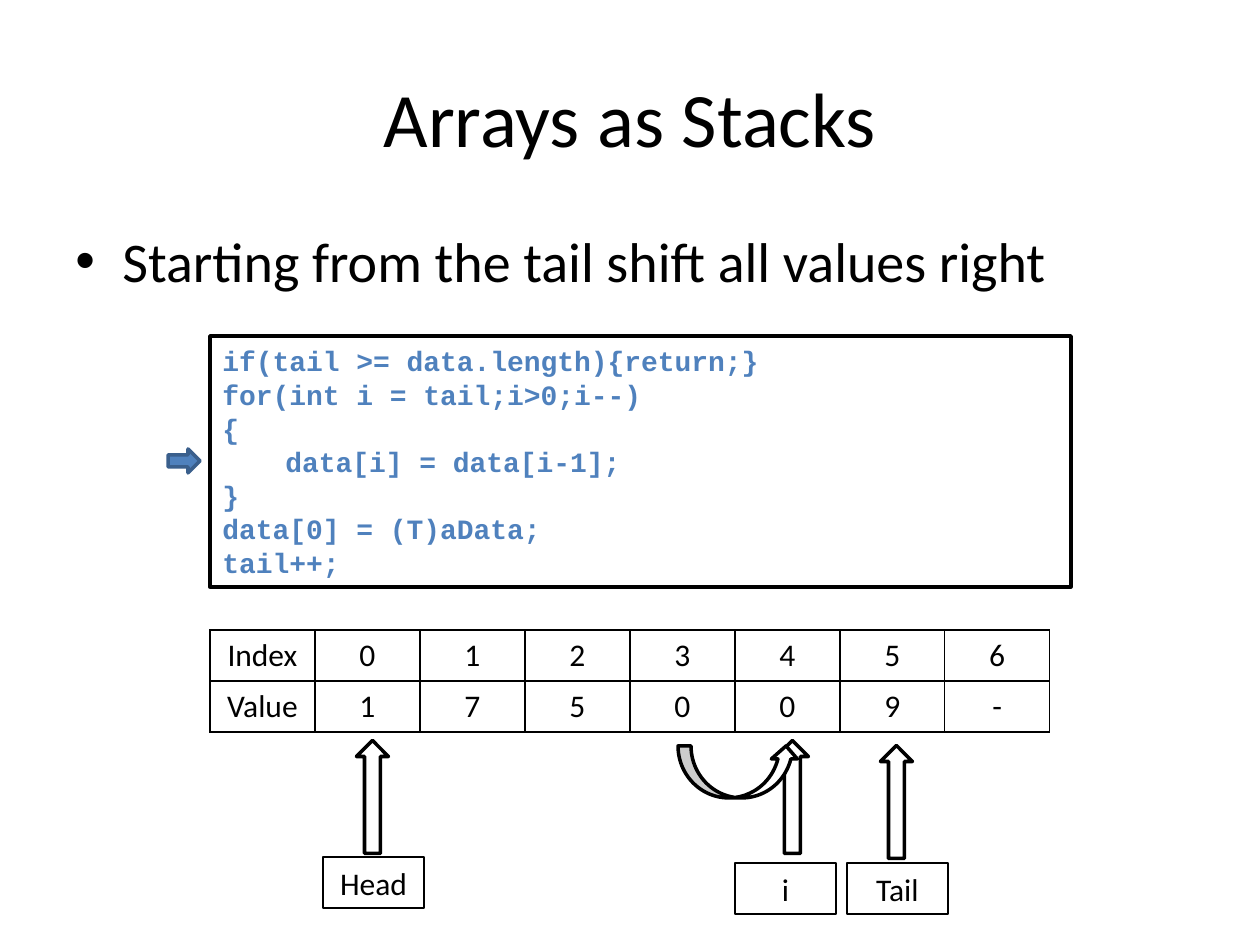
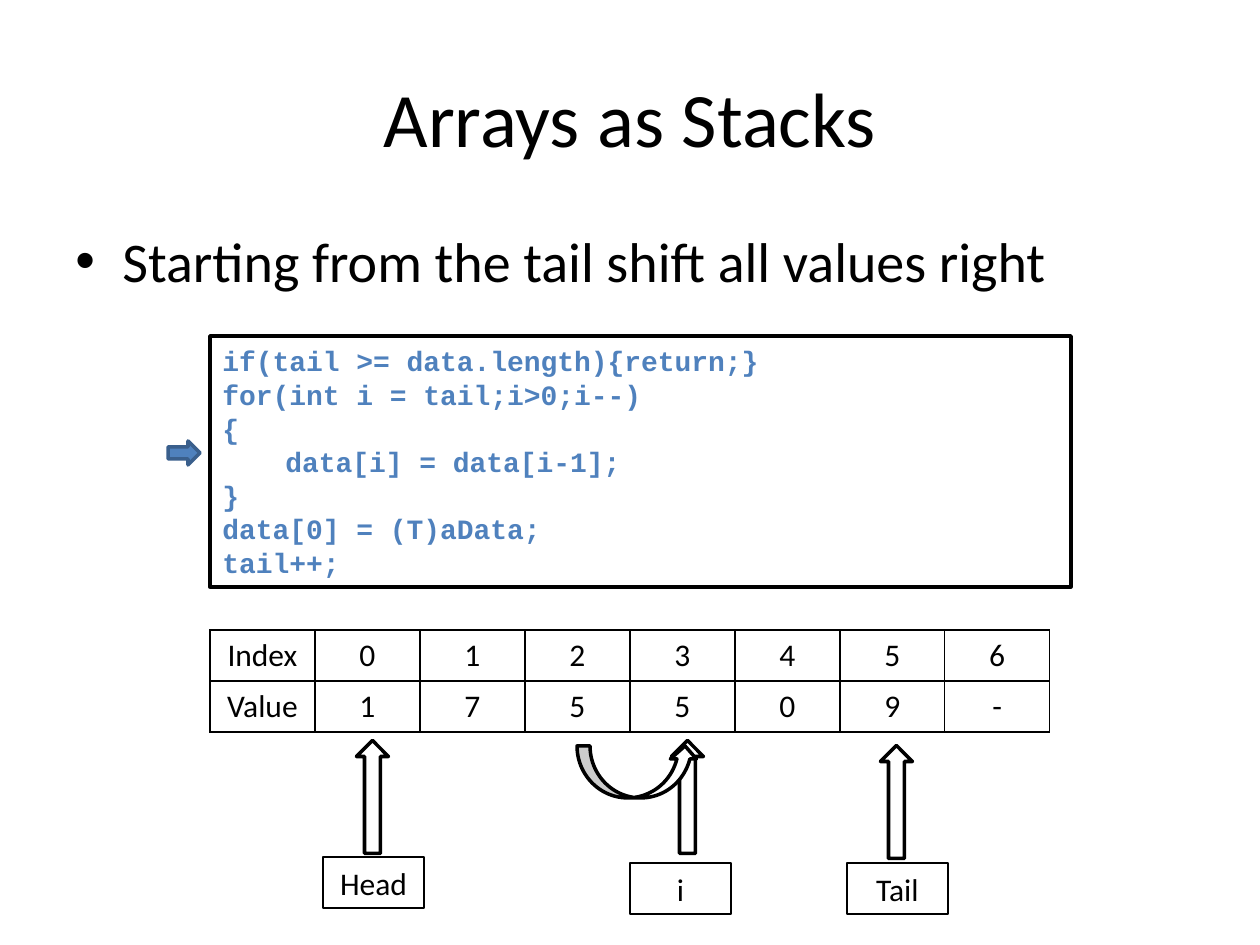
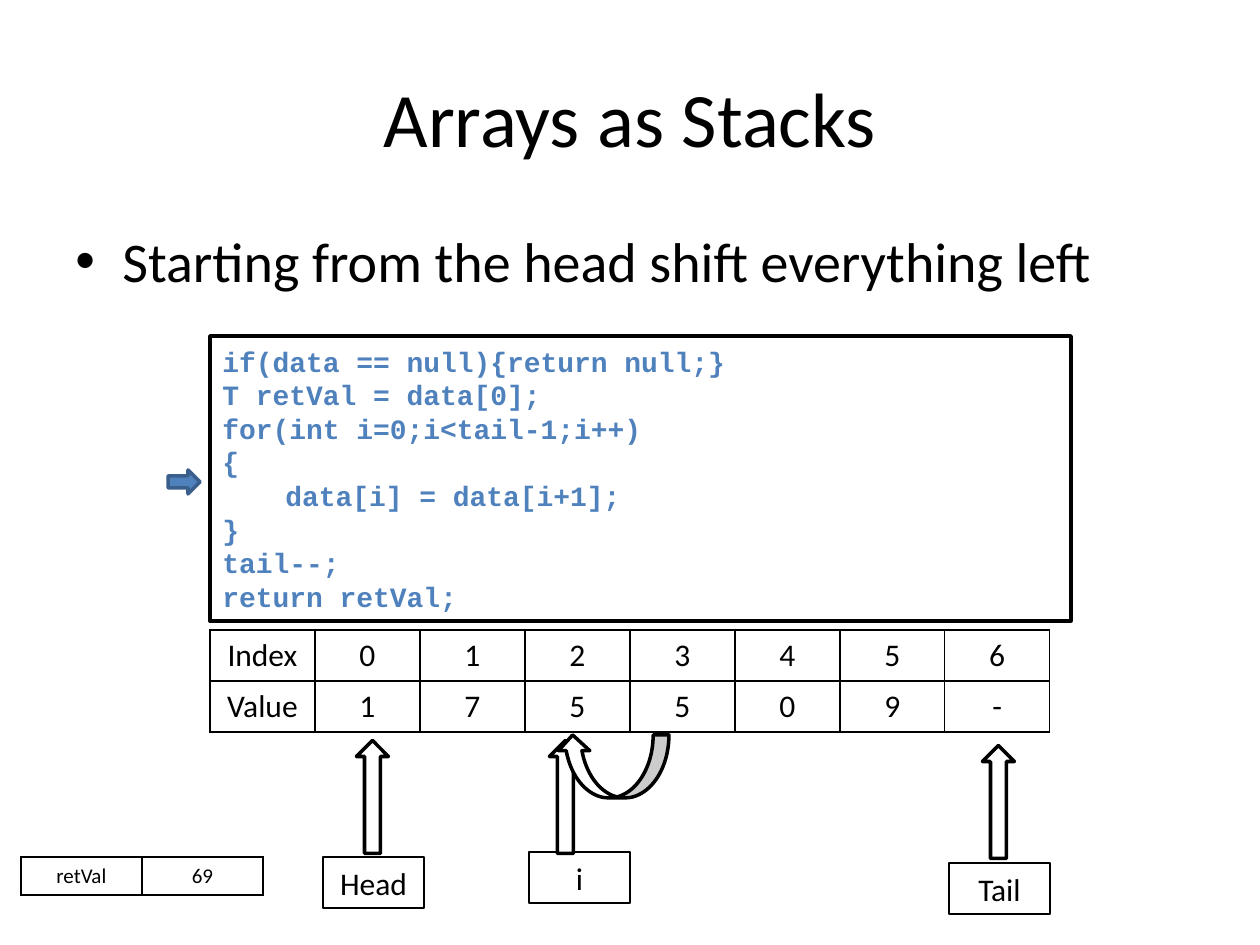
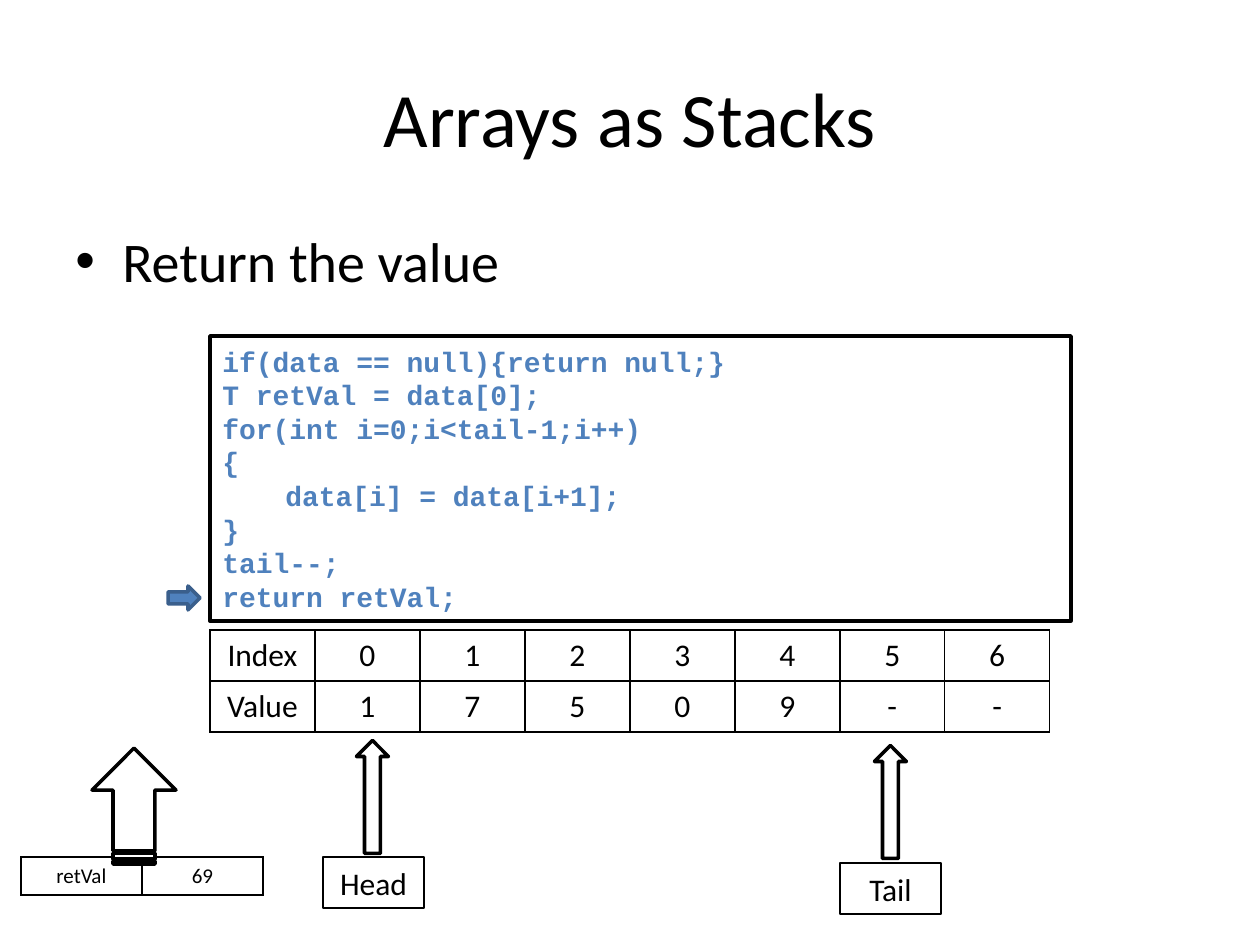
import pptx
import pptx.util
import pptx.dml.color
import pptx.enum.shapes
import pptx.enum.text
import pptx.oxml.ns
import lxml.etree

Pt = pptx.util.Pt
RGB = pptx.dml.color.RGBColor
KIND = pptx.enum.shapes.MSO_SHAPE
ALIGN = pptx.enum.text.PP_ALIGN
ANCHOR = pptx.enum.text.MSO_ANCHOR
FIT = pptx.enum.text.MSO_AUTO_SIZE
qn = pptx.oxml.ns.qn

BLACK = RGB(0, 0, 0)
WHITE = RGB(255, 255, 255)
BLUE = RGB(0x4F, 0x81, 0xBD)
NAVY = RGB(0x3A, 0x5F, 0x8C)
SCALE = 914400 / 126


def draw(slide, kind, box, fill=WHITE, line=BLACK, width=2, turn=0, flip=False):
    shape = slide.shapes.add_shape(kind, *[round(n * SCALE) for n in box])
    shape.shadow.inherit = False
    if fill is None:
        shape.fill.background()
    else:
        shape.fill.solid()
        shape.fill.fore_color.rgb = fill
    shape.line.color.rgb = line
    shape.line.width = Pt(width)
    shape.rotation = turn
    if flip:
        shape.element.spPr.xfrm.set("flipH", "1")
    return shape


def write(frame, lines, size, align=ALIGN.CENTER, font="Calibri", color=BLACK, bold=False):
    for n, line in enumerate(lines):
        para = frame.paragraphs[0] if n == 0 else frame.add_paragraph()
        para.alignment = align
        run = para.add_run()
        run.text = line
        run.font.size = Pt(size)
        run.font.name = font
        run.font.color.rgb = color
        run.font.bold = bold


PUSH = [
    "if(tail >= data.length){return;}",
    "for(int i = tail;i>0;i--)",
    "{",
    "\tdata[i] = data[i-1];",
    "}",
    "data[0] = (T)aData;",
    "tail++;",
]
POP = [
    "if(data == null){return null;}",
    "T retVal = data[0];",
    "for(int i=0;i<tail-1;i++)",
    "{",
    "\tdata[i] = data[i+1];",
    "}",
    "tail--;",
    "return retVal;",
]
SHIFT = "Starting from the tail shift all values right"
HEAD = ("Head", 323, 857, 316, 781)
TAIL = ("Tail", 847, 863, 840, 786)

STEPS = [
    dict(point=SHIFT, code=PUSH, mark=449, vals="175009-", curve=(678, 746, 121, 52),
         tags=[HEAD, TAIL, ("i", 735, 863, 736, 781)]),
    dict(point=SHIFT, code=PUSH, mark=441, vals="175509-", curve=(577, 746, 121, 52),
         tags=[HEAD, TAIL, ("i", 630, 863, 631, 781)]),
    dict(point="Starting from the head shift everything left", code=POP, mark=470,
         vals="175509-", curve=(557, 735, 112, 63),
         tags=[HEAD, ("Tail", 949, 863, 942, 786), ("i", 529, 852, 509, 781)]),
    dict(point="Return the value", code=POP, mark=586, vals="17509--", curve=None,
         tags=[HEAD, ("Tail", 840, 863, 834, 786)]),
]

deck = pptx.Presentation()
deck.slide_width = round(1260 * SCALE)
deck.slide_height = round(945 * SCALE)

for step in STEPS:
    slide = deck.slides.add_slide(deck.slide_layouts[5])
    pop = step["code"] is POP

    title = slide.shapes.title
    title.left, title.top, title.width, title.height = [
        round(n * SCALE) for n in (63, 38, 1134, 157)]
    title.text_frame.vertical_anchor = ANCHOR.MIDDLE
    write(title.text_frame, ["Arrays as Stacks"], 44)

    body = slide.shapes.add_textbox(*[round(n * SCALE) for n in (63, 220, 1134, 624)])
    body.text_frame.word_wrap = True
    write(body.text_frame, [step["point"]], 32, ALIGN.LEFT)
    para = body.text_frame.paragraphs[0]
    para.space_before = Pt(6.4)
    props = para._p.get_or_add_pPr()
    props.set("marL", str(round(47 * SCALE)))
    props.set("indent", str(round(-47 * SCALE)))
    lxml.etree.SubElement(props, qn("a:buFont")).set("typeface", "Arial")
    lxml.etree.SubElement(props, qn("a:buChar")).set("char", "•")

    grids = [([["Index", *"0123456"], ["Value", *step["vals"]]], 210, 630, 105, 51, 18)]
    if pop:
        grids.append(([["retVal", "69"]], 21, 857, 121, 38, 12))
    for rows, left, top, wide, high, size in grids:
        cols = len(rows[0])
        box = (left, top, wide * cols, high * len(rows))
        table = slide.shapes.add_table(
            len(rows), cols, *[round(n * SCALE) for n in box]).table
        table.first_row = False
        table.horz_banding = False
        for col in table.columns:
            col.width = round(wide * SCALE)
        for r, row in enumerate(rows):
            table.rows[r].height = round(high * SCALE)
            for c, text in enumerate(row):
                cell = table.cell(r, c)
                write(cell.text_frame, [text], size)
                props = cell._tc.get_or_add_tcPr()
                for side in ("lnL", "lnR", "lnT", "lnB"):
                    edge = lxml.etree.SubElement(props, qn("a:" + side), w="12700")
                    ink = lxml.etree.SubElement(edge, qn("a:solidFill"))
                    lxml.etree.SubElement(ink, qn("a:srgbClr"), val=str(BLACK))
                cell.fill.background()

    for name, left, top, tip, rise in step["tags"]:
        label = draw(slide, KIND.RECTANGLE, (left, top, 101, 51), None, width=0.75)
        label.text_frame.word_wrap = True
        label.text_frame.auto_size = FIT.SHAPE_TO_FIT_TEXT
        write(label.text_frame, [name], 18)
        draw(slide, KIND.RIGHT_ARROW, (tip, rise, 113, 32), turn=90, flip=True)

    code = draw(slide, KIND.RECTANGLE, (210, 336, 861, 285 if pop else 251))
    code.text_frame.word_wrap = True
    code.text_frame.auto_size = FIT.SHAPE_TO_FIT_TEXT
    write(code.text_frame, step["code"], 16, ALIGN.LEFT, "Courier New", BLUE, True)
    draw(slide, KIND.RIGHT_ARROW, (168, step["mark"], 32, 24), BLUE, NAVY)

    if step["curve"]:
        draw(slide, KIND.CURVED_UP_ARROW, step["curve"], flip=pop)
    else:
        draw(slide, KIND.STRIPED_RIGHT_ARROW, (76, 764, 116, 84), turn=270)

deck.save("out.pptx")
